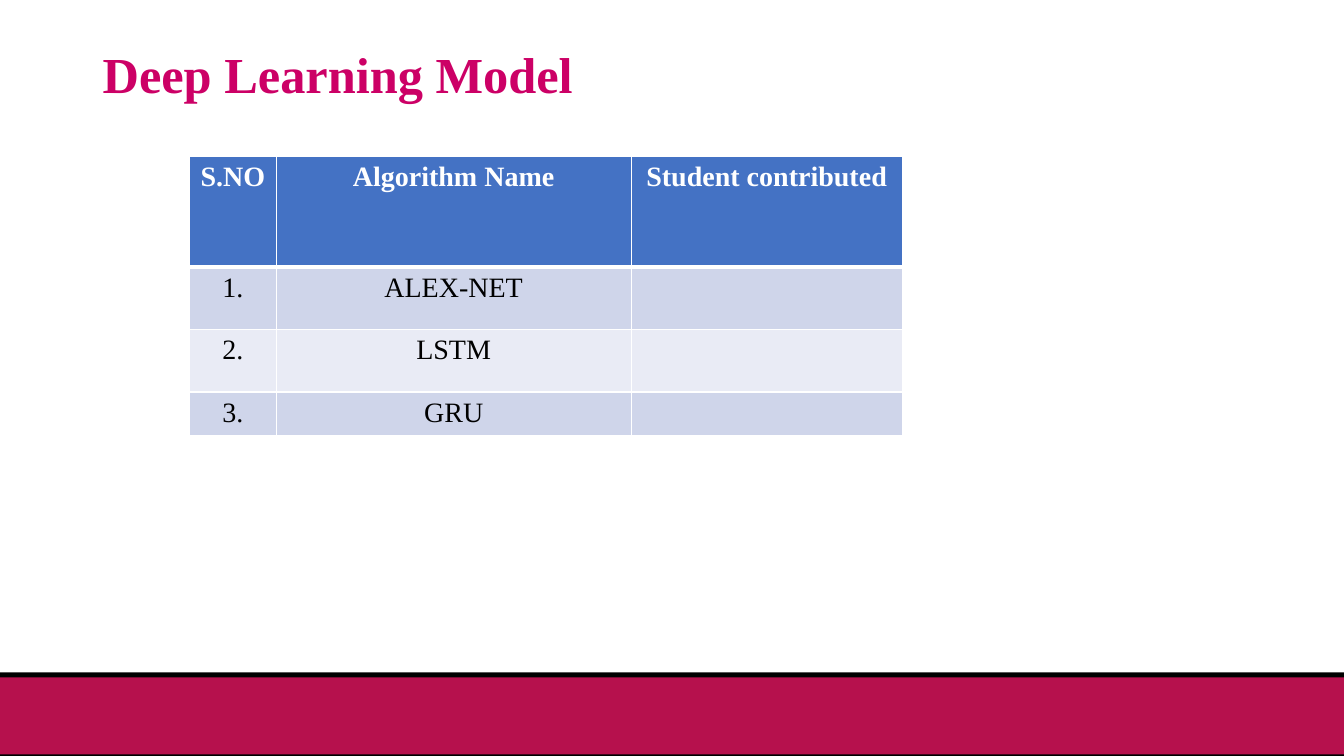
from lxml.etree import SubElement
from pptx import Presentation
from pptx.dml.color import RGBColor
from pptx.enum.shapes import MSO_SHAPE as Shape
from pptx.enum.text import MSO_ANCHOR as Anchor, PP_ALIGN as Align
from pptx.oxml.ns import qn
from pptx.util import Inches, Pt

FONT = "Times New Roman"
COLORS = {
    "title": "CC0066", "rule": "000000", "band": "B6114D",
    "header": "4472C4", "odd": "CFD5EA", "even": "E9EBF5",
    "white": "FFFFFF", "body": "000000",
}
COLUMN_WIDTHS = (0.86, 3.52, 2.69)
ROW_HEIGHTS = (1.1, 0.62, 0.62, 0.41)
ALGORITHMS = (
    ("S.NO", "Algorithm Name", "Student contributed"),
    ("1.", "ALEX-NET", ""),
    ("2.", "LSTM", ""),
    ("3.", "GRU", ""),
)


def rgb(name):
    """Return the named palette colour."""
    return RGBColor.from_string(COLORS[name])


def style_text(paragraph, size, color, bold):
    """Format a paragraph and its runs."""
    for font in (paragraph.font, *(run.font for run in paragraph.runs)):
        font.name, font.size, font.bold = FONT, Pt(size), bold
        font.color.rgb = rgb(color)


def add_footer(slide, left, top, width, height):
    """Draw the footer band with its black edges."""
    edge = height * 0.06
    for color, y, depth in (
        ("rule", top, height),
        ("band", top + edge, height - edge * 1.3),
    ):
        bar = slide.shapes.add_shape(
            Shape.RECTANGLE, left, int(y), width, int(depth))
        bar.shadow.inherit = False
        bar.fill.solid()
        bar.fill.fore_color.rgb = rgb(color)
        bar.line.fill.background()


def add_title(slide, left, top, width, height):
    """Place the slide heading."""
    frame = slide.shapes.add_textbox(left, top, width, height).text_frame
    frame.word_wrap = True
    frame.vertical_anchor = Anchor.MIDDLE
    frame.text = "Deep Learning Model"
    heading = frame.paragraphs[0]
    heading.line_spacing = 0.9
    style_text(heading, 36, "title", True)


def set_borders(cell, widths):
    """Give a cell white borders of the given widths by side."""
    properties = cell._tc.get_or_add_tcPr()
    for side, points in widths.items():
        border = SubElement(properties, qn(f"a:ln{side}"), w=str(Pt(points)))
        fill = SubElement(border, qn("a:solidFill"))
        SubElement(fill, qn("a:srgbClr"), val=COLORS["white"])


def add_algorithms(slide, left, top, width, height):
    """Fill the box with the algorithm table."""
    table = slide.shapes.add_table(
        len(ROW_HEIGHTS), len(COLUMN_WIDTHS), left, top, width, height).table
    for column, share in zip(table.columns, COLUMN_WIDTHS):
        column.width = int(width * share / sum(COLUMN_WIDTHS))
    for row, share in zip(table.rows, ROW_HEIGHTS):
        row.height = int(height * share / sum(ROW_HEIGHTS))
    for r, texts in enumerate(ALGORITHMS):
        header = r == 0
        shade = "header" if header else "odd" if r % 2 else "even"
        for c, text in enumerate(texts):
            cell = table.cell(r, c)
            set_borders(cell, {"L": 1, "R": 1, "T": 3 if r == 1 else 1,
                               "B": 3 if header else 1})
            cell.fill.solid()
            cell.fill.fore_color.rgb = rgb(shade)
            cell.text_frame.text = text
            entry = cell.text_frame.paragraphs[0]
            entry.alignment = Align.CENTER
            style_text(entry, 20, "white" if header else "body", header)


def main():
    """Build and save the slide."""
    deck = Presentation()
    deck.slide_width, deck.slide_height = Inches(13.33), Inches(7.5)
    slide = deck.slides.add_slide(deck.slide_layouts[6])
    footer_top = Inches(6.67)
    add_footer(slide, 0, footer_top, deck.slide_width,
               deck.slide_height - footer_top)
    add_title(slide, Inches(0.92), Inches(0.4), Inches(11.5), Inches(0.74))
    add_algorithms(slide, Inches(1.88), Inches(1.55),
                   Inches(sum(COLUMN_WIDTHS)), Inches(sum(ROW_HEIGHTS)))
    deck.save("out.pptx")


if __name__ == "__main__":
    main()
